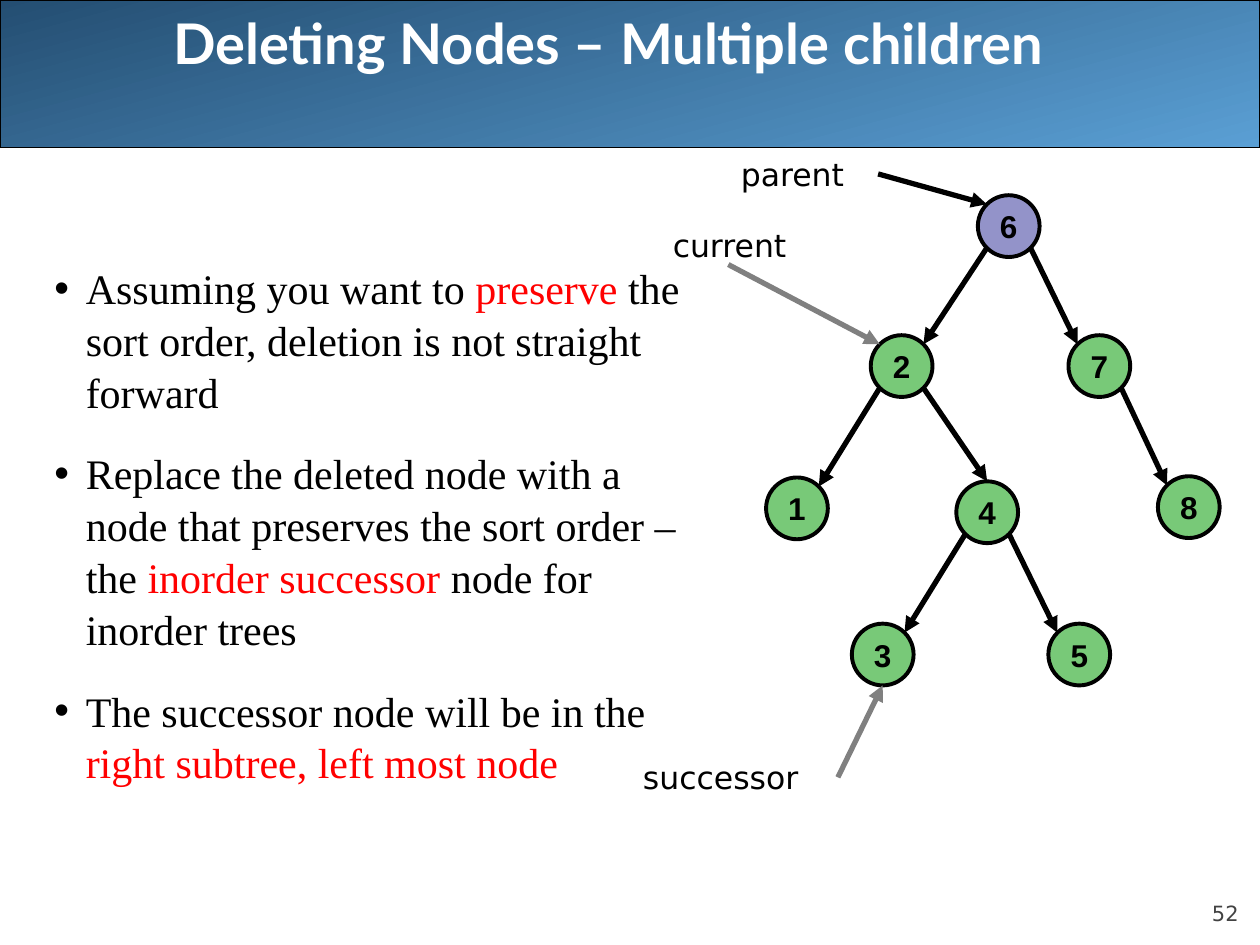
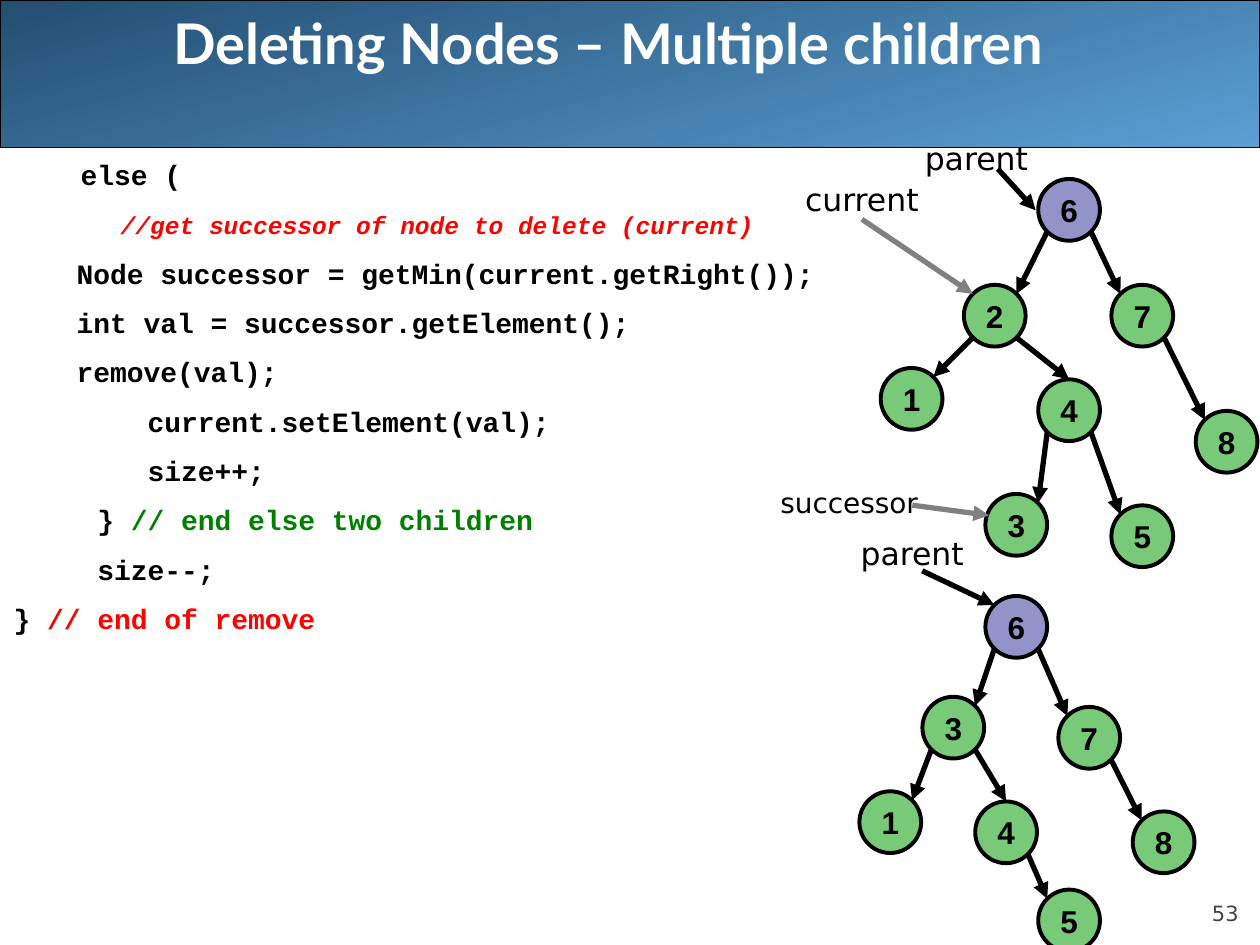
import math

import pptx
import pptx.dml.color
import pptx.enum.shapes
import pptx.enum.text
import pptx.oxml
import pptx.oxml.ns
import pptx.util

Pt = pptx.util.Pt
ALIGN = pptx.enum.text.PP_ALIGN
ANCHOR = pptx.enum.text.MSO_ANCHOR
SHAPE = pptx.enum.shapes.MSO_SHAPE

BLACK, WHITE, RED, GREEN, GRAY = "000000", "FFFFFF", "FF0000", "008000", "808080"
ROOT_FILL, NODE_FILL = "333399", "009900"
RADIUS = 17.64
DIAGONAL = RADIUS * math.sqrt(0.5)
TITLE = "Deleting Nodes – Multiple children"

BULLETS = [
    [("Assuming you want to ", BLACK), ("preserve", RED),
     (" the sort order, deletion is not straight forward", BLACK)],
    [("Replace the deleted node with a node that preserves the sort order – the ", BLACK),
     ("inorder successor ", RED), ("node for inorder trees", BLACK)],
    [("The successor node will be in the ", BLACK), ("right subtree, left most node", RED)],
]

CODE = [
    [("    else (", BLACK)],
    [("  ", BLACK), ("     //get successor of node to delete (current)", RED)],
    [("\tNode successor = getMin(current.getRight());", BLACK)],
    [("\tint val = successor.getElement();", BLACK)],
    [("\tremove(val);", BLACK)],
    [("        current.setElement(val);", BLACK)],
    [("        size++;", BLACK)],
    [("     } ", BLACK), ("// end else two children", GREEN)],
    [("     size--;", BLACK)],
    [("} ", BLACK), ("// end of remove", RED)],
]

# Node centres, in points; an edge is a parent digit followed by a child digit.
FULL_EDGES = "62 67 21 24 43 45 78"
REDUCED_EDGES = "63 67 31 34 45 78"
WIDE_TREE = {"6": (576.4, 129.2), "2": (515.2, 209.2), "7": (628.2, 209.2),
             "1": (455.4, 290.5), "4": (564.1, 292.7), "8": (679.3, 289.8),
             "3": (504.4, 374), "5": (616.7, 374)}
TREE_BEFORE = {"6": (610.9, 119.9), "2": (568.4, 180.4), "7": (652.7, 180.4),
               "1": (520.9, 227.9), "4": (610.9, 234.4), "8": (700.9, 252.4),
               "3": (580.7, 299.9), "5": (652.7, 306.4)}
TREE_AFTER = {"6": (580.7, 358.2), "3": (544.7, 415.8), "7": (622.4, 421.6),
              "1": (508.7, 469.8), "4": (574.9, 475.6), "8": (664.9, 481.3),
              "5": (610.9, 526)}


def color(hex_string):
    return pptx.dml.color.RGBColor.from_string(hex_string)


def style(font, name, size, fill, bold=False):
    font.name, font.size, font.bold = name, Pt(size), bold
    font.color.rgb = color(fill)


def add_xml(parent, tag, **attributes):
    element = pptx.oxml.parse_xml(f"<a:{tag} {pptx.oxml.ns.nsdecls('a')}/>")
    for key, value in attributes.items():
        element.set(key, value)
    parent.append(element)


def upper_left(center):
    return center[0] - DIAGONAL, center[1] - DIAGONAL


class SlideWriter:
    def __init__(self):
        self.deck = pptx.Presentation()
        self.deck.slide_width, self.deck.slide_height = Pt(720), Pt(540)
        self.page = None

    def start(self, layout, number):
        """Add a page with the shared band, title and page number."""
        self.page = self.deck.slides.add_slide(self.deck.slide_layouts[layout])
        self.band()
        title = self.page.shapes.title
        self.place(title, 41.8, 0, 612, 48.2)
        frame = title.text_frame
        frame.text = TITLE
        frame.auto_size = pptx.enum.text.MSO_AUTO_SIZE.NONE
        frame.vertical_anchor = ANCHOR.MIDDLE
        frame.paragraphs[0].alignment = ALIGN.CENTER
        style(frame.paragraphs[0].runs[0].font, "Lato", 32, WHITE, bold=True)
        self.text(str(number), 648, 500.4, 59.8, 28.8, 12, "424242",
                  ALIGN.RIGHT, ANCHOR.BOTTOM, 0)

    def place(self, shape, left, top, width, height):
        shape.left, shape.top = Pt(left), Pt(top)
        shape.width, shape.height = Pt(width), Pt(height)

    def band(self):
        band = self.page.shapes.add_shape(SHAPE.RECTANGLE, 0, 0, Pt(720), Pt(84.2))
        band.shadow.inherit = False
        band.fill.gradient()
        band.fill.gradient_angle = 285
        for stop, shade in zip(band.fill.gradient_stops, ("244E72", "5A9FD4")):
            stop.color.rgb = color(shade)
        band.line.color.rgb = color(BLACK)
        band.line.width = Pt(0.75)
        self.page.shapes.element.insert(2, band.element)  # behind the title

    def text(self, words, left, top, width, height, size, fill, align, anchor, inset):
        box = self.page.shapes.add_textbox(Pt(left), Pt(top), Pt(width), Pt(height))
        frame = box.text_frame
        frame.word_wrap = True
        frame.vertical_anchor = anchor
        frame.margin_left = frame.margin_right = Pt(inset)
        frame.margin_top = frame.margin_bottom = Pt(inset)
        frame.text = words
        frame.paragraphs[0].alignment = align
        style(frame.paragraphs[0].runs[0].font, "DejaVu Sans", size, fill)

    def label(self, words, left, top, width, size=18):
        self.text(words, left, top, width, 23, size, BLACK, ALIGN.CENTER, ANCHOR.TOP, 0.72)

    def paragraphs(self, frame, rows, name, size, space_before, bold=False):
        """Fill a frame with rows of (text, colour) spans and yield each paragraph."""
        for index, row in enumerate(rows):
            para = frame.add_paragraph() if index else frame.paragraphs[0]
            para.space_before = Pt(space_before if index else 0)
            for words, fill in row:
                span = para.add_run()
                span.text = words
                style(span.font, name, size, fill, bold)
            yield para

    def bullets(self, rows):
        body = self.page.placeholders[1]
        self.place(body, 23.8, 145.5, 379.4, 324)
        body.text_frame.auto_size = pptx.enum.text.MSO_AUTO_SIZE.NONE
        for para in self.paragraphs(body.text_frame, rows, "Times New Roman", 24, 5):
            para.space_after = Pt(12)
            para.line_spacing = 1.03
            properties = para._p.get_or_add_pPr()
            properties.set("marL", str(Pt(18)))
            properties.set("indent", str(-Pt(18)))

    def code(self, rows):
        box = self.page.shapes.add_textbox(Pt(0.7), Pt(86.4), Pt(526.3), Pt(288.7))
        box.text_frame.word_wrap = True
        lines = list(self.paragraphs(box.text_frame, rows, "Courier New", 16, 9, bold=True))
        comment = lines[1].runs[1].font
        comment.size, comment.italic = Pt(14), True

    def arrow(self, start, end, fill=BLACK):
        line = self.page.shapes.add_connector(
            pptx.enum.shapes.MSO_CONNECTOR.STRAIGHT, *(Pt(v) for v in (*start, *end)))
        line.line.color.rgb = color(fill)
        line.line.width = Pt(3)
        properties = line.element.spPr
        add_xml(properties.get_or_add_ln(), "tailEnd", type="triangle")
        add_xml(properties, "effectLst")

    def node(self, name, center, fill):
        x, y = center
        circle = self.page.shapes.add_shape(
            SHAPE.FLOWCHART_CONNECTOR, Pt(x - RADIUS), Pt(y - RADIUS),
            Pt(2 * RADIUS), Pt(2 * RADIUS))
        circle.shadow.inherit = False
        circle.fill.solid()
        circle.fill.fore_color.rgb = color(fill)
        solid = circle.element.spPr.find(".//" + pptx.oxml.ns.qn("a:srgbClr"))
        add_xml(solid, "alpha", val="53000")
        circle.line.color.rgb = color(BLACK)
        circle.line.width = Pt(2.25)
        frame = circle.text_frame
        frame.word_wrap = False
        frame.vertical_anchor = ANCHOR.MIDDLE
        frame.text = name
        frame.paragraphs[0].alignment = ALIGN.CENTER
        style(frame.paragraphs[0].runs[0].font, "Arial", 18, BLACK, bold=True)

    def tree(self, centers, edges):
        """Draw the nodes, with edges between facing corners; node 4 is entered at its top."""
        for name, center in centers.items():
            self.node(name, center, ROOT_FILL if name == "6" else NODE_FILL)
        for parent, child in edges.split():
            (px, py), (cx, cy) = centers[parent], centers[child]
            shift = math.copysign(DIAGONAL, cx - px)
            end = (cx, cy - RADIUS) if child == "4" else (cx - shift, cy - DIAGONAL)
            self.arrow((px + shift, py + DIAGONAL), end)


def deletion_rule(writer):
    writer.start(1, 52)
    writer.bullets(BULLETS)
    writer.tree(WIDE_TREE, FULL_EDGES)
    writer.label("parent", 403.9, 87.8, 97.9)
    writer.arrow((501.8, 99.4), upper_left(WIDE_TREE["6"]))
    writer.label("current", 349.2, 128.2, 135.4)
    writer.arrow((416.2, 151.2), upper_left(WIDE_TREE["2"]), GRAY)
    writer.label("successor", 344.9, 432.7, 133.9)
    x, y = WIDE_TREE["3"]
    writer.arrow((478.8, 444.2), (x, y + RADIUS), GRAY)


def deletion_code(writer):
    writer.start(5, 53)
    writer.tree(TREE_AFTER, REDUCED_EDGES)
    writer.label("parent", 472.3, 304.6, 97.9)
    writer.arrow((527, 326.2), upper_left(TREE_AFTER["6"]))
    writer.code(CODE)
    writer.tree(TREE_BEFORE, FULL_EDGES)
    writer.label("current", 424.8, 102.2, 135.4)
    writer.arrow((492.5, 125.3), upper_left(TREE_BEFORE["2"]), GRAY)
    writer.label("successor", 431.3, 276.5, 108, size=16)
    writer.arrow((521.3, 288.7), (565.2, 294.5), GRAY)
    writer.label("parent", 509, 78.5, 97.9)
    writer.arrow((570.2, 96.5), (591.8, 120.2))


def main():
    writer = SlideWriter()
    deletion_rule(writer)
    deletion_code(writer)
    writer.deck.save("out.pptx")


if __name__ == "__main__":
    main()
